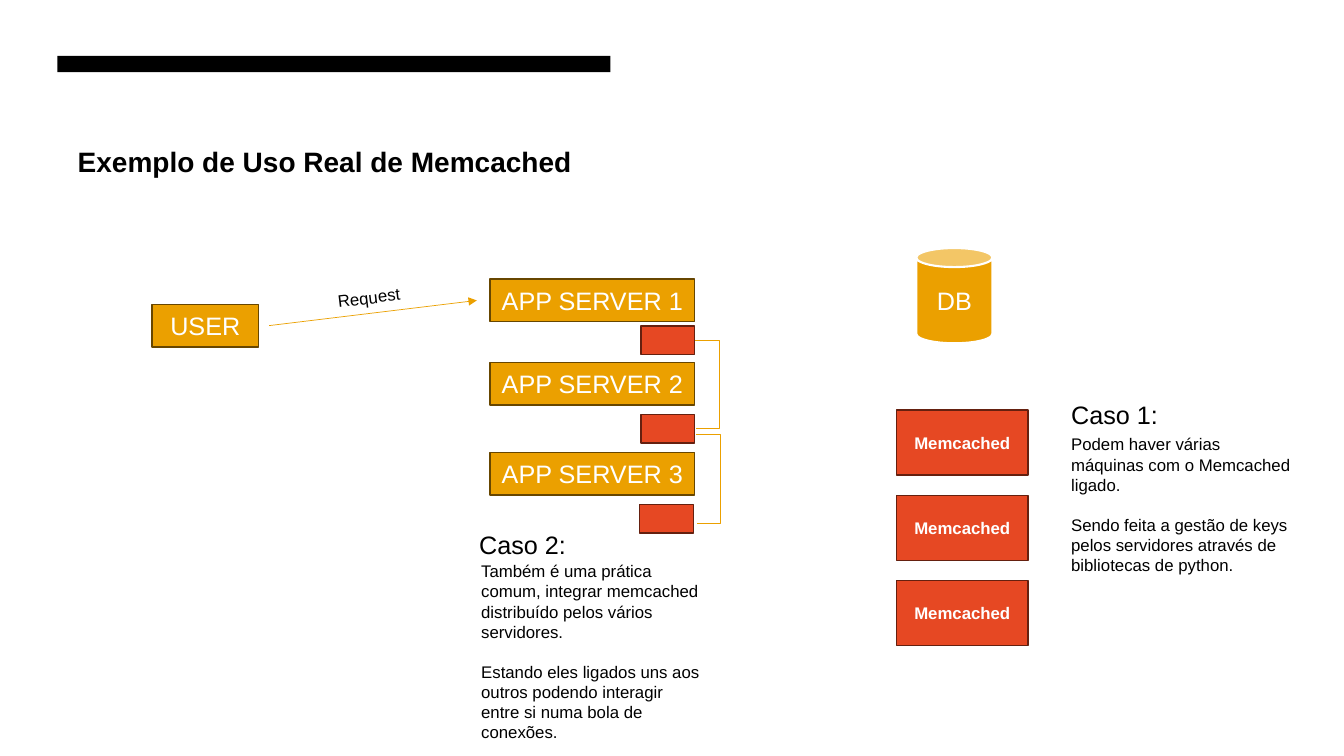
"""Build the slide on real-world use of Memcached."""
from lxml import etree
from pptx import Presentation
from pptx.dml.color import RGBColor
from pptx.enum.shapes import MSO_CONNECTOR, MSO_SHAPE
from pptx.enum.text import MSO_ANCHOR, PP_ALIGN
from pptx.oxml.ns import qn
from pptx.util import Pt

RECT, CAN = MSO_SHAPE.RECTANGLE, MSO_SHAPE.CAN
STRAIGHT, ELBOW = MSO_CONNECTOR.STRAIGHT, MSO_CONNECTOR.ELBOW
CENTER, MIDDLE = PP_ALIGN.CENTER, MSO_ANCHOR.MIDDLE
COLORS = {"black": "000000", "white": "FFFFFF", "amber": "EBA000",
          "brown": "674600", "red": "E64823", "maroon": "65200F"}


def rgb(name):
    return RGBColor.from_string(COLORS[name])


def style(p, size, color, bold=False):
    p.font.name = "Arial"
    p.font.size = Pt(size)
    p.font.bold = bold
    p.font.color.rgb = rgb(color)


def add_box(s, x, y, w, h, fill, line=None, text="", size=18, bold=False,
            kind=RECT, weight=1):
    sp = s.shapes.add_shape(kind, Pt(x), Pt(y), Pt(w), Pt(h))
    sp.shadow.inherit = False
    sp.fill.solid()
    sp.fill.fore_color.rgb = rgb(fill)
    if line:
        sp.line.color.rgb = rgb(line)
        sp.line.width = Pt(weight)
    else:
        sp.line.fill.background()
    if text:
        tf = sp.text_frame
        tf.word_wrap = False
        tf.vertical_anchor = MIDDLE
        p = tf.paragraphs[0]
        p.text = text
        p.alignment = CENTER
        style(p, size, "white", bold)


def add_text(s, x, y, w, h, paragraphs, size=12, bold=False, rotation=0):
    sp = s.shapes.add_textbox(Pt(x), Pt(y), Pt(w), Pt(h))
    sp.rotation = rotation
    tf = sp.text_frame
    tf.word_wrap = True
    for i, text in enumerate(paragraphs):
        p = tf.add_paragraph() if i else tf.paragraphs[0]
        p.text = text
        if i:
            p.space_before = Pt(14)
        style(p, size, "black", bold)


def add_line(s, kind, x1, y1, x2, y2):
    c = s.shapes.add_connector(kind, Pt(x1), Pt(y1), Pt(x2), Pt(y2))
    c.line.color.rgb = rgb("amber")
    c.line.width = Pt(0.5)
    etree.SubElement(c._element.spPr, qn("a:effectLst"))
    return c


def add_arrow(s, x1, y1, x2, y2):
    c = add_line(s, STRAIGHT, x1, y1, x2, y2)
    etree.SubElement(c.line._get_or_add_ln(), qn("a:tailEnd"), type="triangle")


def add_bracket(s, x, y, height, bulge=18):
    c = add_line(s, ELBOW, x, y, x + 1, y + height)
    guides = c._element.spPr.find(qn("a:prstGeom")).get_or_add_avLst()
    etree.SubElement(guides, qn("a:gd"), name="adj1", fmla=f"val {bulge * 100000}")


def main():
    prs = Presentation()
    prs.slide_width, prs.slide_height = Pt(960), Pt(540)
    s = prs.slides.add_slide(prs.slide_layouts[6])

    add_box(s, 41, 40, 395, 11.6, "black")
    add_text(s, 48.4, 99.4, 395, 81, ["Exemplo de Uso Real de Memcached"], 20, True)

    add_box(s, 108.5, 217.5, 76.3, 30.4, "amber", "brown", "USER")
    add_arrow(s, 192.2, 232.6, 340.6, 214.6)
    add_text(s, 234, 200.2, 83.5, 21.6, ["Request"], rotation=353.1)

    servers = [(199.2, 457.8, 232.8), (259, 457.8, 296.2), (323.2, 456.8, 360.4)]
    for i, (server_y, cache_x, cache_y) in enumerate(servers, 1):
        add_box(s, 350, server_y, 146.2, 30.4, "amber", "brown", f"APP SERVER {i}")
        add_box(s, cache_x, cache_y, 38.4, 20.4, "red", "maroon")
    add_bracket(s, 496.2, 243.2, 63)
    add_bracket(s, 497, 310.2, 63.5)

    add_box(s, 654.5, 177.2, 54.4, 68, "amber", "white", "DB", kind=CAN, weight=1.5)
    for i in range(3):
        add_box(s, 640.5, 293 + 60.8 * i, 93.8, 46.4, "red", "maroon",
                "Memcached", 12, True)

    add_text(s, 758, 281.7, 112.3, 29, ["Caso 1:"], 18)
    add_text(s, 758, 306.6, 173, 94.5, [
        "Podem haver várias máquinas com o Memcached ligado.",
        "Sendo feita a gestão de keys pelos servidores através de "
        "bibliotecas de python."])
    add_text(s, 335.2, 374.6, 112.3, 29, ["Caso 2:"], 18)
    add_text(s, 336.6, 397.2, 173, 124, [
        "Também é uma prática comum, integrar memcached distribuído "
        "pelos vários servidores.",
        "Estando eles ligados uns aos outros podendo interagir entre si "
        "numa bola de conexões."])

    prs.save("out.pptx")


if __name__ == "__main__":
    main()
